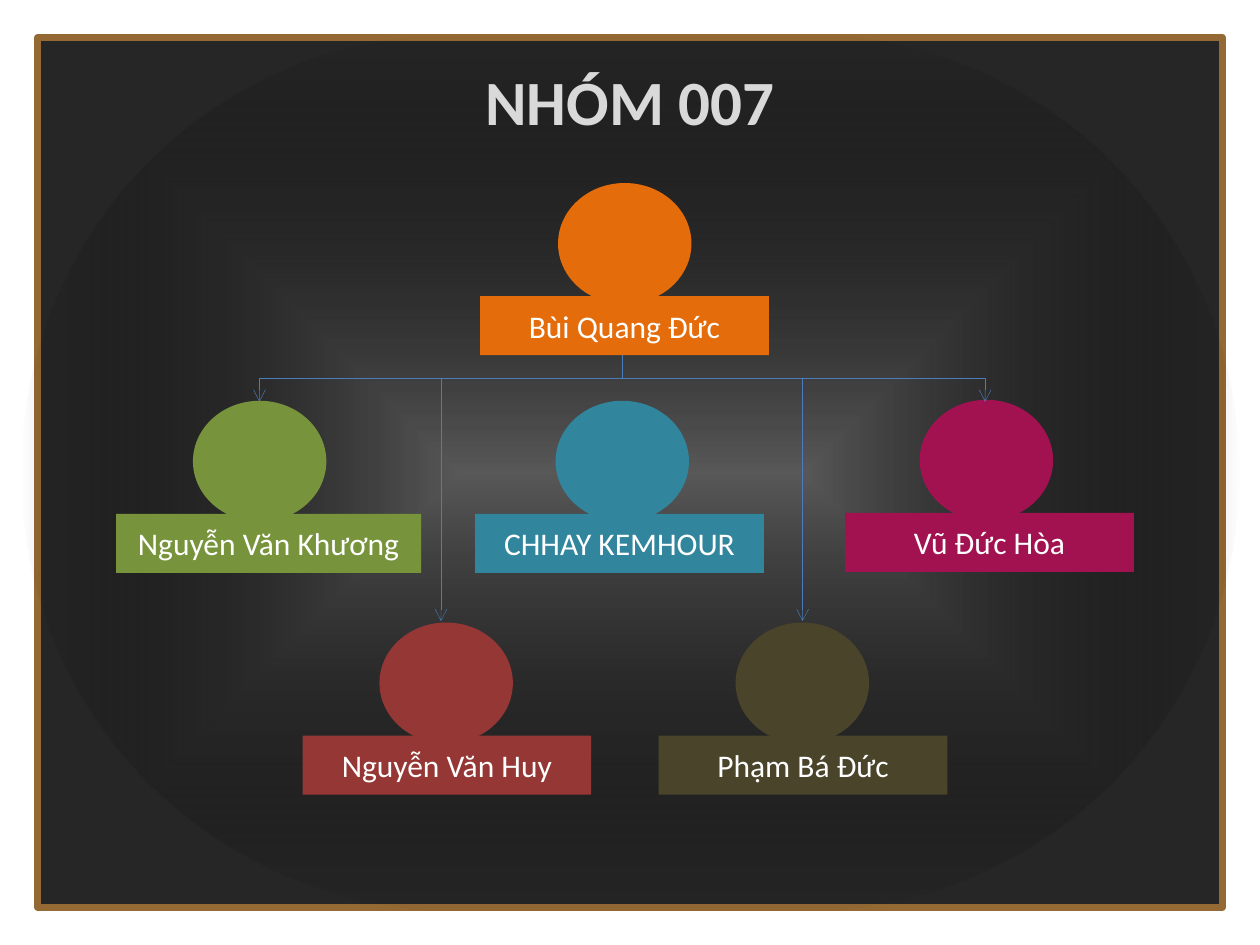
from dataclasses import dataclass

from lxml import etree
from pptx import Presentation
from pptx.dml.color import RGBColor
from pptx.enum.shapes import MSO_CONNECTOR, MSO_SHAPE
from pptx.enum.text import MSO_ANCHOR, PP_ALIGN
from pptx.oxml import parse_xml
from pptx.oxml.ns import nsdecls, qn
from pptx.util import Cm, Pt

RECTANGLE = MSO_SHAPE.RECTANGLE
ROUNDED = MSO_SHAPE.ROUNDED_RECTANGLE
OVAL = MSO_SHAPE.OVAL
ELBOW = MSO_CONNECTOR.ELBOW
MIDDLE = MSO_ANCHOR.MIDDLE
CENTER = PP_ALIGN.CENTER


@dataclass(frozen=True)
class Theme:
    font: str = "Calibri"
    title_size: int = 36
    name_size: int = 18
    title: str = "D9D9D9"
    name: str = "FFFFFF"
    board: str = "262626"
    frame: str = "946933"
    glow: str = "595959"
    shade: str = "000000"
    connector: str = "4A7EBB"
    orange: str = "E46C0A"
    green: str = "77933C"
    teal: str = "31859C"
    magenta: str = "A21250"
    red: str = "953735"
    brown: str = "4A452A"


THEME = Theme()
HEAD_WIDTH, HEAD_HEIGHT, HEAD_RISE = 2.69, 2.44, 2.28
LABEL_HEIGHT = 1.19
TRUNK = (12.55, 7.16)
BRANCH_DROP = 0.47

MEMBERS = [
    ("Bùi Quang Đức", THEME.orange, 11.25, 9.68, 5.97, 5.82),
    ("Nguyễn Văn Khương", THEME.green, 3.89, 2.34, 10.36, 6.15),
    ("CHHAY KEMHOUR", THEME.teal, 11.2, 9.58, 10.36, 5.82),
    ("Vũ Đức Hòa", THEME.magenta, 18.54, 17.04, 10.34, 5.82),
    ("Nguyễn Văn Huy", THEME.red, 7.65, 6.1, 14.83, 5.82),
    ("Phạm Bá Đức", THEME.brown, 14.83, 13.28, 14.83, 5.82),
]
BRANCH_ENDS = [(5.23, 8.1), (19.86, 8.1), (8.89, 12.52), (16.18, 12.52)]


def add_block(page, kind, left, top, width, height, color):
    block = page.shapes.add_shape(kind, Cm(left), Cm(top), Cm(width), Cm(height))
    block.shadow.inherit = False
    block.fill.solid()
    block.fill.fore_color.rgb = RGBColor.from_string(color)
    block.line.fill.background()
    return block


def write_text(box, text, size, color, bold=False):
    frame = box.text_frame
    frame.word_wrap = True
    frame.vertical_anchor = MIDDLE
    frame.text = text
    paragraph = frame.paragraphs[0]
    paragraph.alignment = CENTER
    font = paragraph.runs[0].font
    font.name = THEME.font
    font.size = Pt(size)
    font.bold = bold
    font.color.rgb = RGBColor.from_string(color)


def add_board(page):
    board = add_block(page, RECTANGLE, 0.76, 0.76, 23.88, 17.53, THEME.board)
    board.line.color.rgb = RGBColor.from_string(THEME.frame)
    board.line.width = Pt(4)


def add_glow(page):
    glow = add_block(page, ROUNDED, 0.43, 0.71, 24.56, 17.65, THEME.glow)
    glow.adjustments[0] = 0.5
    properties = glow._element.spPr
    solid = properties.find(qn("a:solidFill"))
    gradient = parse_xml(
        f'<a:gradFill {nsdecls("a")} rotWithShape="1"><a:gsLst>'
        f'<a:gs pos="0"><a:srgbClr val="{THEME.glow}"/></a:gs>'
        f'<a:gs pos="100000"><a:srgbClr val="{THEME.shade}">'
        '<a:alpha val="0"/></a:srgbClr></a:gs></a:gsLst>'
        '<a:path path="shape"><a:fillToRect l="50000" t="50000" r="50000" b="50000"/>'
        '</a:path></a:gradFill>'
    )
    properties.replace(solid, gradient)


def add_title(page, text):
    box = page.shapes.add_textbox(Cm(1.27), Cm(1.12), Cm(22.86), Cm(1.8))
    write_text(box, text, THEME.title_size, THEME.title, bold=True)


def add_member(page, name, color, head_left, label_left, label_top, label_width):
    add_block(page, OVAL, head_left, label_top - HEAD_RISE, HEAD_WIDTH, HEAD_HEIGHT, color)
    label = add_block(page, RECTANGLE, label_left, label_top, label_width, LABEL_HEIGHT, color)
    write_text(label, name, THEME.name_size, THEME.name)


def add_branch(page, end_x, end_y):
    start_x, start_y = TRUNK
    drop, reach = end_y - start_y, abs(end_x - start_x)
    middle_x, middle_y = (start_x + end_x) / 2, (start_y + end_y) / 2
    goes_right = end_x > start_x
    half = -drop / 2 if goes_right else drop / 2
    branch = page.shapes.add_connector(
        ELBOW,
        Cm(middle_x - half), Cm(middle_y - reach / 2),
        Cm(middle_x + half), Cm(middle_y + reach / 2),
    )
    branch.line.color.rgb = RGBColor.from_string(THEME.connector)
    branch.line.width = Pt(0.25)
    properties = branch._element.spPr
    quarter_turns = 3 if goes_right else 1
    properties.find(qn("a:xfrm")).set("rot", str(quarter_turns * 5400000))
    guides = properties.find(qn("a:prstGeom")).get_or_add_avLst()
    bend = round(BRANCH_DROP / drop * 100000)
    etree.SubElement(guides, qn("a:gd"), name="adj1", fmla=f"val {bend}")
    etree.SubElement(properties.find(qn("a:ln")), qn("a:tailEnd"), type="arrow")
    etree.SubElement(properties, qn("a:effectLst"))


def main():
    deck = Presentation()
    deck.slide_width, deck.slide_height = Cm(25.4), Cm(19.05)
    page = deck.slides.add_slide(deck.slide_layouts[6])
    add_board(page)
    add_glow(page)
    for member in MEMBERS:
        add_member(page, *member)
    for end in BRANCH_ENDS:
        add_branch(page, *end)
    add_title(page, "NHÓM 007")
    deck.save("out.pptx")


if __name__ == "__main__":
    main()
